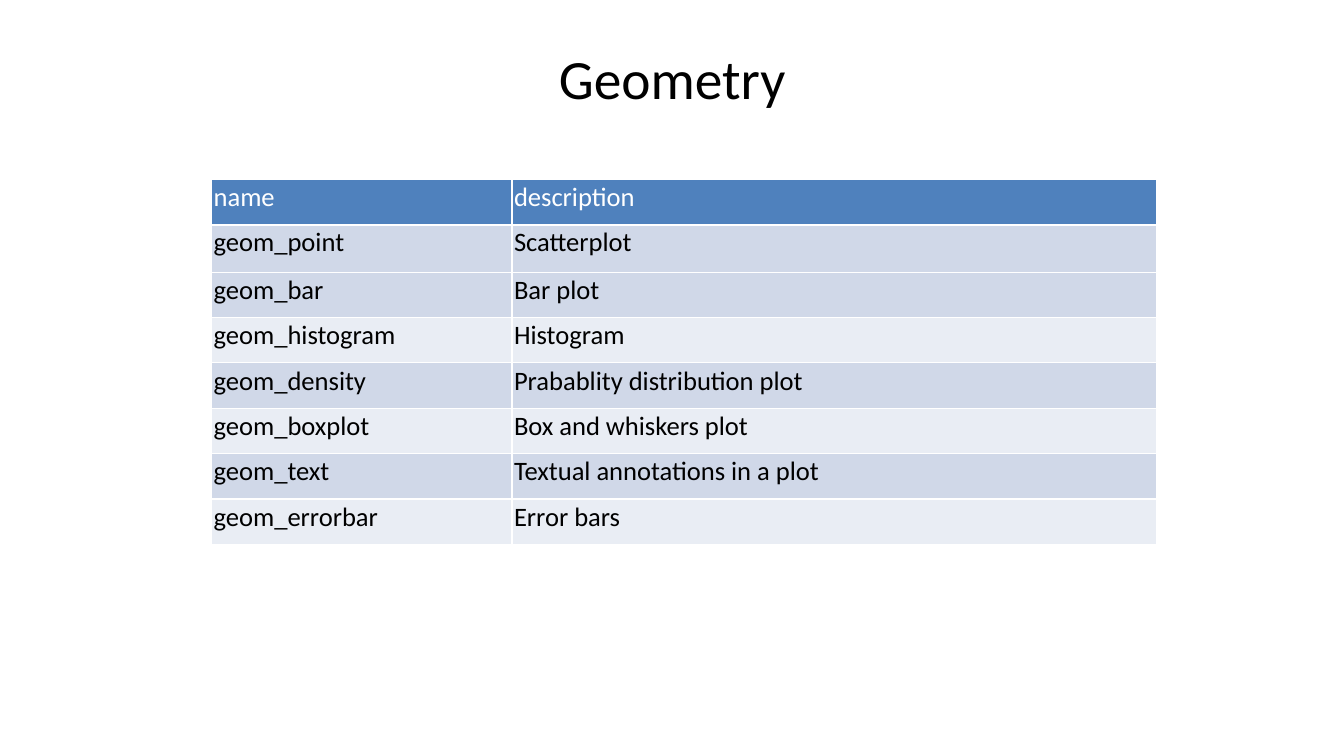
"""Build a slide that lists plot geometries in a banded table."""
from dataclasses import dataclass

from lxml import etree
from pptx import Presentation
from pptx.dml.color import RGBColor
from pptx.enum import text
from pptx.oxml import ns
from pptx.util import Pt


@dataclass(frozen=True)
class Theme:
    """Colours, font and type sizes of the slide."""

    font: str = "Calibri"
    ink: str = "000000"
    white: str = "FFFFFF"
    head: str = "4F81BD"
    dark: str = "D0D8E8"
    light: str = "E9EDF4"
    title: float = 39.6
    body: float = 19


THEME = Theme()
COLS = (214.56, 460.08)
ROWS = (32.4, 33.84) + (32.4,) * 6
FILLS = (THEME.head, THEME.dark) + (THEME.dark, THEME.light) * 3
GEOMS = (
    ("name", "description"),
    ("geom_point", "Scatterplot"),
    ("geom_bar", "Bar plot"),
    ("geom_histogram", "Histogram"),
    ("geom_density", "Prabablity distribution plot"),
    ("geom_boxplot", "Box and whiskers plot"),
    ("geom_text", "Textual annotations in a plot"),
    ("geom_errorbar", "Error bars"),
)


def write(frame, words, size, color):
    """Put one styled paragraph in a text frame."""
    para = frame.paragraphs[0]
    para.text = words
    para.font.name = THEME.font
    para.font.size = Pt(size)
    para.font.color.rgb = RGBColor.from_string(color)
    return para


def add_title(slide, words, left, top, width, height):
    """Add the centred heading."""
    frame = slide.shapes.add_textbox(Pt(left), Pt(top), Pt(width), Pt(height)).text_frame
    frame.word_wrap = True
    frame.vertical_anchor = text.MSO_ANCHOR.MIDDLE
    write(frame, words, THEME.title, THEME.ink).alignment = text.PP_ALIGN.CENTER


def add_edge(cell, side, width):
    """Draw one white border on a cell."""
    props = cell._tc.get_or_add_tcPr()
    line = etree.SubElement(props, ns.qn(f"a:ln{side}"), w=str(Pt(width)))
    fill = etree.SubElement(line, ns.qn("a:solidFill"))
    etree.SubElement(fill, ns.qn("a:srgbClr"), val=THEME.white)


def style_cell(cell, row):
    """Set the margins, borders and fill of a cell by its row."""
    cell.margin_left = cell.margin_right = cell.margin_top = Pt(1.44)
    cell.margin_bottom = Pt(0)
    for side in "LRTB":
        thick = (row, side) in ((0, "B"), (1, "T"))
        add_edge(cell, side, 1.5 if thick else 1)
    cell.fill.solid()
    cell.fill.fore_color.rgb = RGBColor.from_string(FILLS[row])


def add_grid(slide, left, top):
    """Add the table of geometries."""
    table = slide.shapes.add_table(
        len(ROWS), len(COLS), Pt(left), Pt(top), Pt(sum(COLS)), Pt(sum(ROWS))
    ).table
    for col, width in zip(table.columns, COLS):
        col.width = Pt(width)
    for row, (height, words) in enumerate(zip(ROWS, GEOMS)):
        table.rows[row].height = Pt(height)
        for col, word in enumerate(words):
            cell = table.cell(row, col)
            style_cell(cell, row)
            write(cell.text_frame, word, THEME.body, THEME.ink if row else THEME.white)


def main():
    """Build and save the deck."""
    deck = Presentation()
    deck.slide_width, deck.slide_height = Pt(960), Pt(540)
    slide = deck.slides.add_slide(deck.slide_layouts[6])
    add_title(slide, "Geometry", 156.24, 27.36, 648, 55.44)
    add_grid(slide, 151.2, 128.16)
    deck.save("out.pptx")


if __name__ == "__main__":
    main()
